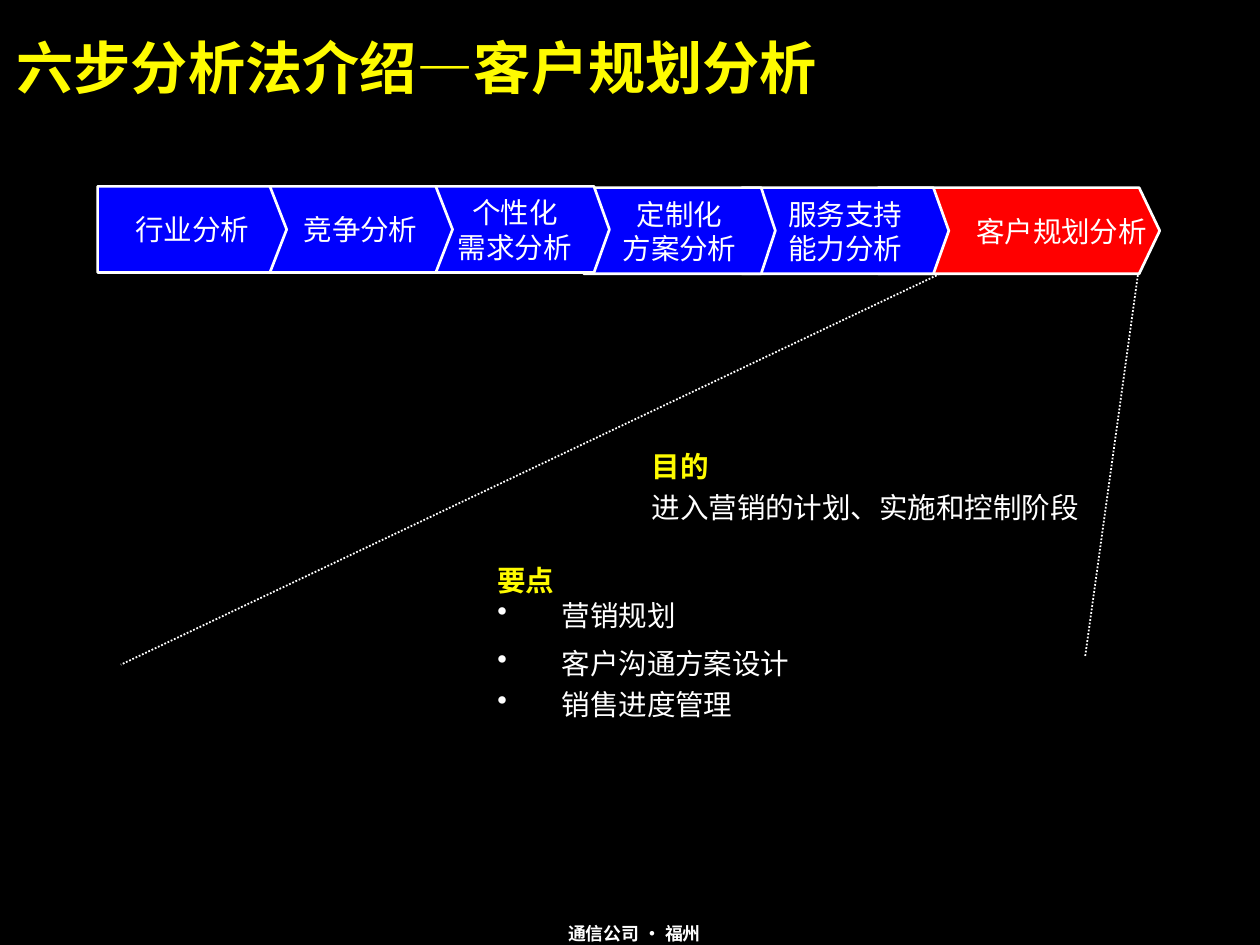
from lxml import etree
from pptx import Presentation
from pptx.dml.color import RGBColor
from pptx.enum.dml import MSO_LINE
from pptx.enum.shapes import MSO_CONNECTOR
from pptx.enum.text import MSO_ANCHOR, PP_ALIGN
from pptx.oxml.ns import qn
from pptx.util import Inches, Pt

# Content
TITLE = "六步分析法介绍—客户规划分析"
FOOTER = "通信公司 · 福州"
# step lines, left, shoulder, tip, top (inches)
STEPS = [
    (["行业分析"], 0.76, 2.1, 2.23, 1.45),
    (["竞争分析"], 2.09, 3.39, 3.52, 1.45),
    (["个性化", "需求分析"], 3.27, 4.62, 4.74, 1.45),
    (["定制化", "方案分析"], 4.54, 5.92, 6.03, 1.46),
    (["服务支持", "能力分析"], 5.77, 7.26, 7.38, 1.46),
    (["客户规划分析"], 6.83, 8.86, 9.02, 1.46),
]
STEP_H = 0.67
RAYS = [((7.31, 2.13), (0.94, 5.17)), ((8.85, 2.14), (8.44, 5.11))]
PURPOSE = ("目的", "进入营销的计划、实施和控制阶段")
POINTS_HEAD = "要点"
# point, line spacing, space before (points)
POINTS = [("营销规划", 1.0, 0), ("客户沟通方案设计", 1.2, 4), ("销售进度管理", 1.2, 0)]

COLORS = {"ground": "000000", "accent": "FEFB00", "text": "FFFFFF",
          "step": "0000FE", "current": "FF0000"}
CJK = "Noto Sans CJK SC"


def color(name):
    return RGBColor.from_string(COLORS[name])


def write(paragraph, text, size=16, tone="text", bold=False, latin=CJK, **layout):
    for key, value in layout.items():
        setattr(paragraph, key, value)
    run = paragraph.add_run()
    run.text = text
    for key, value in {"size": Pt(size), "bold": bold, "name": latin}.items():
        setattr(run.font, key, value)
    run.font.color.rgb = color(tone)
    etree.SubElement(run.font._element, qn("a:ea")).set("typeface", CJK)


def add_bullet(paragraph):
    props = paragraph._p.get_or_add_pPr()
    props.set("marL", str(Inches(0.5)))
    props.set("indent", str(Inches(-0.5)))
    tint = etree.SubElement(props, qn("a:buClr"))
    etree.SubElement(tint, qn("a:srgbClr")).set("val", COLORS["text"])
    etree.SubElement(props, qn("a:buChar")).set("char", "•")


def text_frame(slide, left, top, width, height):
    frame = slide.shapes.add_textbox(*map(Inches, (left, top, width, height))).text_frame
    frame.word_wrap = True
    return frame


def add_step(slide, lines, left, shoulder, tip, top, current):
    middle, bottom = top + STEP_H / 2, top + STEP_H
    outline = slide.shapes.build_freeform(Inches(left), Inches(top))
    corners = [(shoulder, top), (tip, middle), (shoulder, bottom), (left, bottom)]
    outline.add_line_segments([(Inches(x), Inches(y)) for x, y in corners], close=True)
    step = outline.convert_to_shape()
    step.shadow.inherit = False
    step.fill.solid()
    step.fill.fore_color.rgb = color("current" if current else "step")
    step.line.color.rgb = color("text")
    step.line.width = Pt(1.5)
    frame = step.text_frame
    frame.word_wrap = False
    frame.vertical_anchor = MSO_ANCHOR.MIDDLE
    for i, line in enumerate(lines):
        paragraph = frame.add_paragraph() if i else frame.paragraphs[0]
        write(paragraph, line, alignment=PP_ALIGN.RIGHT if current else PP_ALIGN.CENTER)


def add_ray(slide, start, end):
    ray = slide.shapes.add_connector(MSO_CONNECTOR.STRAIGHT, *map(Inches, start + end))
    ray.line.color.rgb = color("text")
    ray.line.width = Pt(1)
    ray.line.dash_style = MSO_LINE.ROUND_DOT
    etree.SubElement(ray._element.spPr, qn("a:effectLst"))


def main():
    deck = Presentation()
    deck.slide_width, deck.slide_height = Inches(9.8), Inches(7.35)
    slide = deck.slides.add_slide(deck.slide_layouts[6])
    slide.background.fill.solid()
    slide.background.fill.fore_color.rgb = color("ground")

    # Footer and title
    footer = text_frame(slide, 3.35, 7.13, 3.17, 0.21)
    write(footer.paragraphs[0], FOOTER, size=10, bold=True, alignment=PP_ALIGN.CENTER)
    title = text_frame(slide, 0.13, 0.25, 9.43, 0.53)
    for side in ("left", "top", "right", "bottom"):
        setattr(title, f"margin_{side}", 0)
    write(title.paragraphs[0], TITLE, size=32, tone="accent", bold=True, latin="Arial")

    # Chain of steps: each one overlaps the step to its right
    for step in reversed(STEPS):
        add_step(slide, *step, current=step is STEPS[-1])

    # Dotted rays opening out from the current step
    for start, end in RAYS:
        add_ray(slide, start, end)

    # Purpose
    heading, statement = PURPOSE
    purpose = text_frame(slide, 4.97, 3.39, 4.41, 0.74)
    write(purpose.paragraphs[0], heading, tone="accent", bold=True, line_spacing=1.2)
    write(purpose.add_paragraph(), statement, line_spacing=1.2)

    # Key points
    points = text_frame(slide, 3.77, 4.28, 4.62, 1.7)
    write(points.paragraphs[0], POINTS_HEAD, tone="accent", bold=True, line_spacing=1.2)
    for point, spacing, gap in POINTS:
        paragraph = points.add_paragraph()
        add_bullet(paragraph)
        write(paragraph, point, line_spacing=spacing, space_before=Pt(gap))

    deck.save("out.pptx")


if __name__ == "__main__":
    main()
